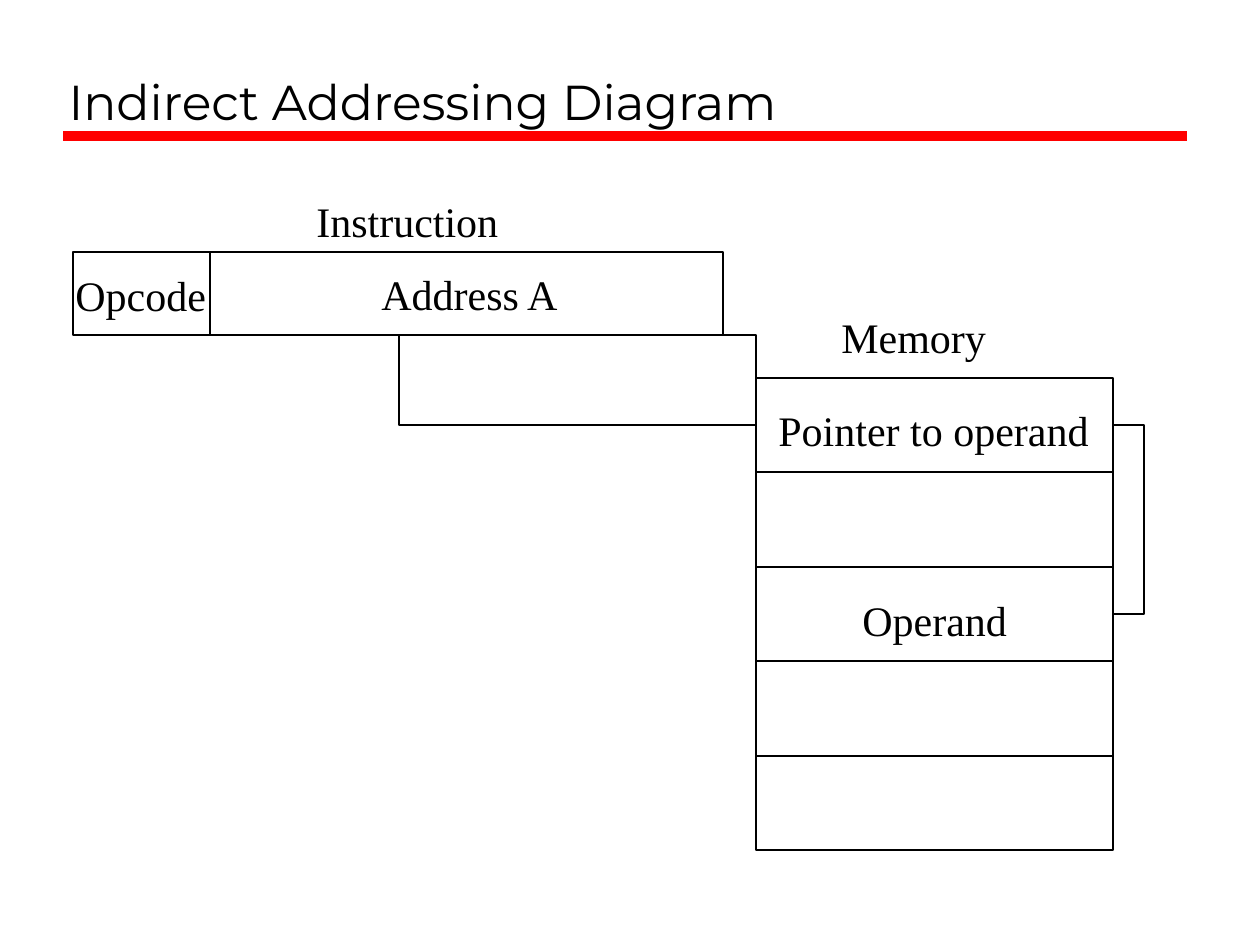
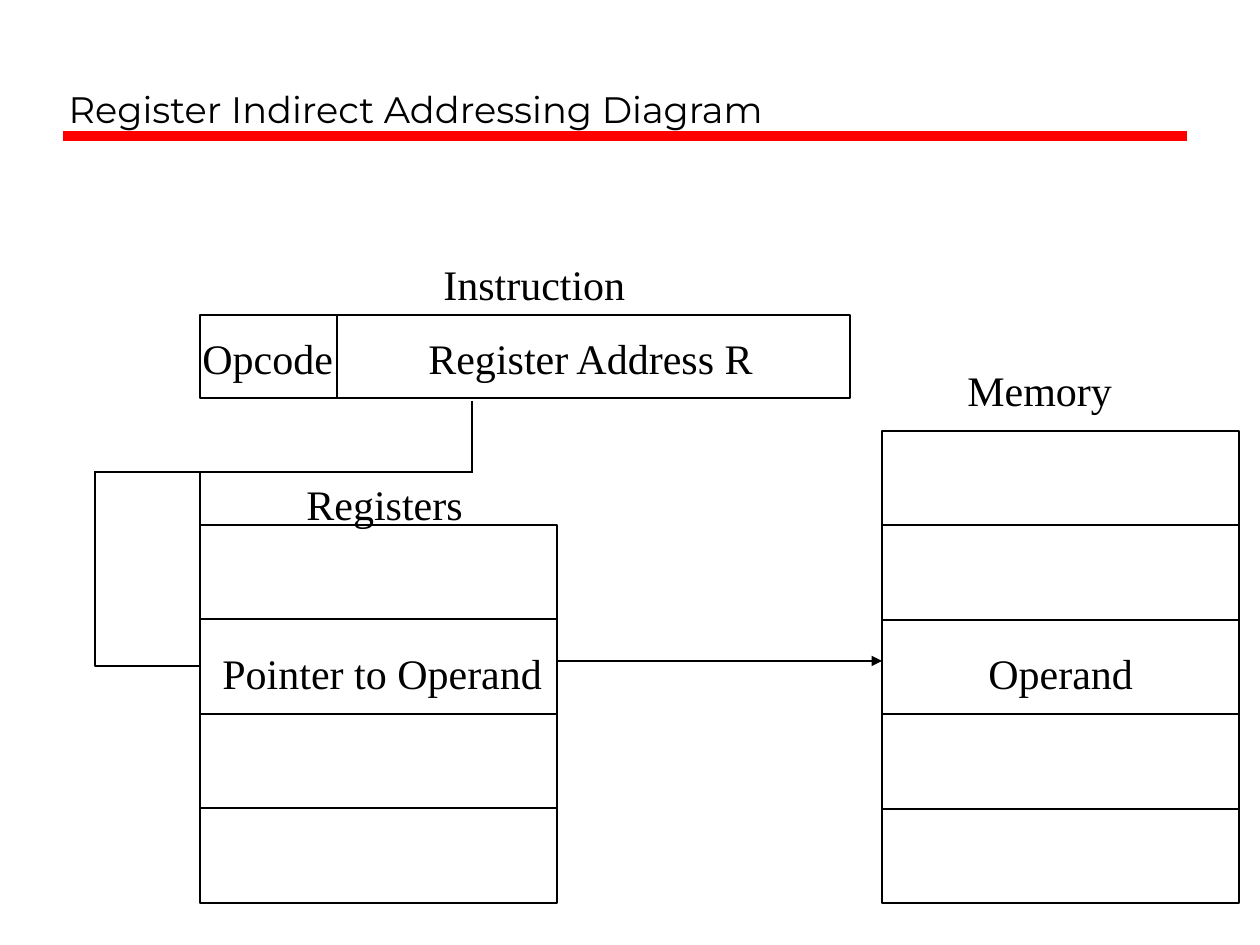
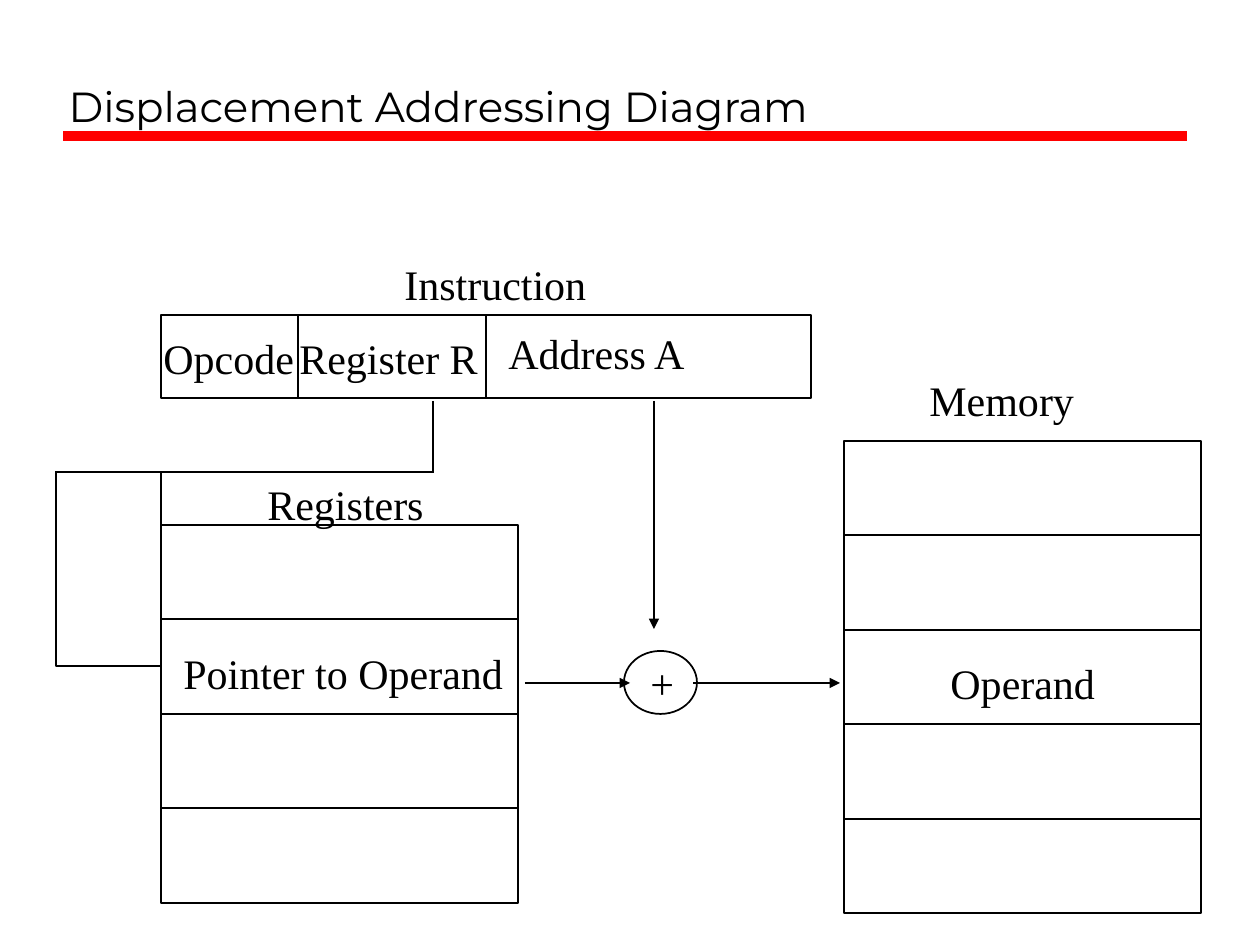
from lxml import etree
from pptx import Presentation
from pptx import util as u
from pptx.dml import color
from pptx.enum import shapes, text
from pptx.oxml import ns

BLACK = "000000"
RED = "FF0000"
SANS = "Montserrat"
SERIF = "Times New Roman"
DPI = 126


def px(n):
    return u.Inches(n / DPI)


def paint(target, tone):
    target.rgb = color.RGBColor.from_string(tone)


def write(frame, words, size=24, font=SERIF, tone=BLACK, wrap=False,
          anchor=text.MSO_ANCHOR.TOP):
    frame.word_wrap = wrap
    frame.auto_size = text.MSO_AUTO_SIZE.NONE
    frame.vertical_anchor = anchor
    frame.margin_left = frame.margin_right = u.Inches(0.1)
    frame.margin_top = frame.margin_bottom = u.Inches(0.05)
    para = frame.paragraphs[0]
    para.alignment = text.PP_ALIGN.LEFT
    run = para.add_run()
    run.text = words
    run.font.size = u.Pt(size)
    run.font.name = font
    paint(run.font.color, tone)


def label(slide, words, x, y, w):
    item = slide.shapes.add_textbox(px(x), px(y), px(w), px(63))
    write(item.text_frame, words)


def box(slide, x, y, w, h, kind=shapes.MSO_SHAPE.RECTANGLE):
    item = slide.shapes.add_shape(kind, px(x), px(y), px(w), px(h))
    item.shadow.inherit = False
    item.fill.background()
    paint(item.line.color, BLACK)
    item.line.width = u.Pt(1)


def line(slide, x1, y1, x2, y2, tone=BLACK, width=1, arrow=False):
    item = slide.shapes.add_connector(
        shapes.MSO_CONNECTOR.STRAIGHT, px(x1), px(y1), px(x2), px(y2))
    paint(item.line.color, tone)
    item.line.width = u.Pt(width)
    props = item.element.spPr
    if arrow:
        stroke = props.find(ns.qn("a:ln"))
        etree.SubElement(stroke, ns.qn("a:tailEnd"), type="triangle")
    etree.SubElement(props, ns.qn("a:effectLst"))


def start(deck, words, size):
    slide = deck.slides.add_slide(deck.slide_layouts[5])
    title = slide.shapes.title
    title.left, title.top = px(56), px(21)
    title.width, title.height = px(1130), px(116)
    write(title.text_frame, words, size=size, font=SANS, wrap=True,
          anchor=text.MSO_ANCHOR.BOTTOM)
    line(slide, 63, 136, 1187, 136, tone=RED, width=6)
    return slide


def stack(slide, x, y, count):
    edges = [y + 189 * i // 2 for i in range(count + 1)]
    for top, end in zip(edges, edges[1:]):
        box(slide, x, top, 357, end - top)


def order(slide, x, y):
    box(slide, x, y, 650, 83)
    line(slide, x + 137, y + 1, x + 137, y + 83)
    label(slide, "Opcode", x - 10, y + 11, 155)
    label(slide, "Instruction", x + 231, y - 63, 208)


def memory(slide, x, y):
    stack(slide, x, y, 5)
    label(slide, "Memory", x + 73, y - 73, 170)
    label(slide, "Operand", x + 94, y + 210, 170)


def bank(slide, x):
    stack(slide, x, 525, 4)
    label(slide, "Pointer to Operand", x + 10, 641, 345)
    line(slide, x + 272, 401, x + 272, 471)
    line(slide, x + 273, 472, x - 106, 472)
    label(slide, "Registers", x + 94, 472, 181)
    box(slide, x - 105, 472, 105, 194)


def direct(deck):
    slide = start(deck, "Indirect Addressing Diagram", 28)
    order(slide, 73, 252)
    label(slide, "Address A", 369, 262, 202)
    memory(slide, 756, 378)
    box(slide, 399, 335, 357, 90)
    label(slide, "Pointer to operand", 766, 398, 335)
    box(slide, 1113, 425, 31, 189)


def register(deck):
    slide = start(deck, "Register Indirect Addressing Diagram", 21)
    order(slide, 200, 315)
    label(slide, "Register Address R", 416, 326, 349)
    memory(slide, 882, 431)
    bank(slide, 200)
    line(slide, 557, 661, 882, 661, width=0.75, arrow=True)


def offset(deck):
    slide = start(deck, "Displacement Addressing Diagram", 24)
    order(slide, 161, 315)
    label(slide, "Register R", 287, 326, 204)
    memory(slide, 844, 441)
    bank(slide, 161)
    line(slide, 486, 316, 486, 398)
    label(slide, "Address A", 496, 321, 202)
    box(slide, 624, 651, 73, 63, kind=shapes.MSO_SHAPE.OVAL)
    label(slide, "+", 638, 651, 49)
    line(slide, 654, 401, 654, 629, arrow=True)
    line(slide, 693, 683, 840, 683, width=0.75, arrow=True)
    line(slide, 525, 683, 630, 683, width=0.75, arrow=True)


def main():
    deck = Presentation()
    deck.slide_width, deck.slide_height = px(1260), px(945)
    direct(deck)
    register(deck)
    offset(deck)
    deck.save("out.pptx")


if __name__ == "__main__":
    main()
